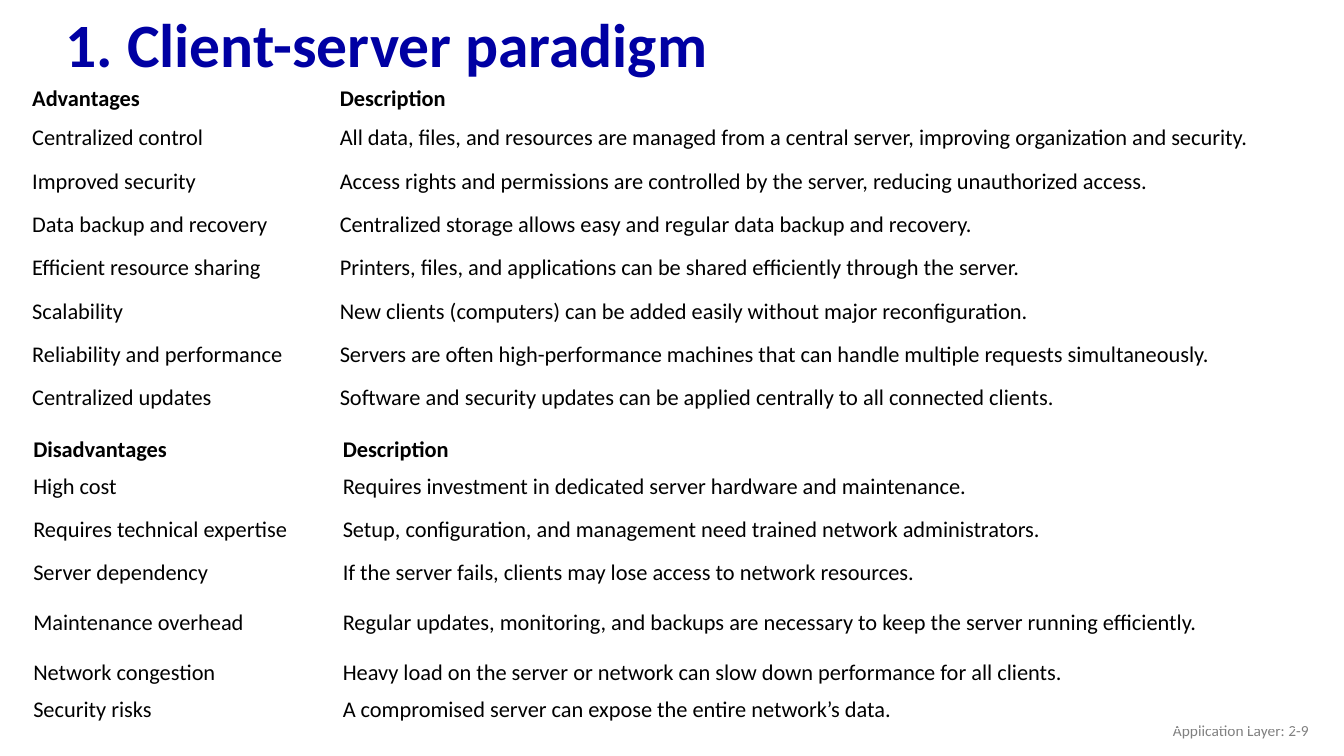
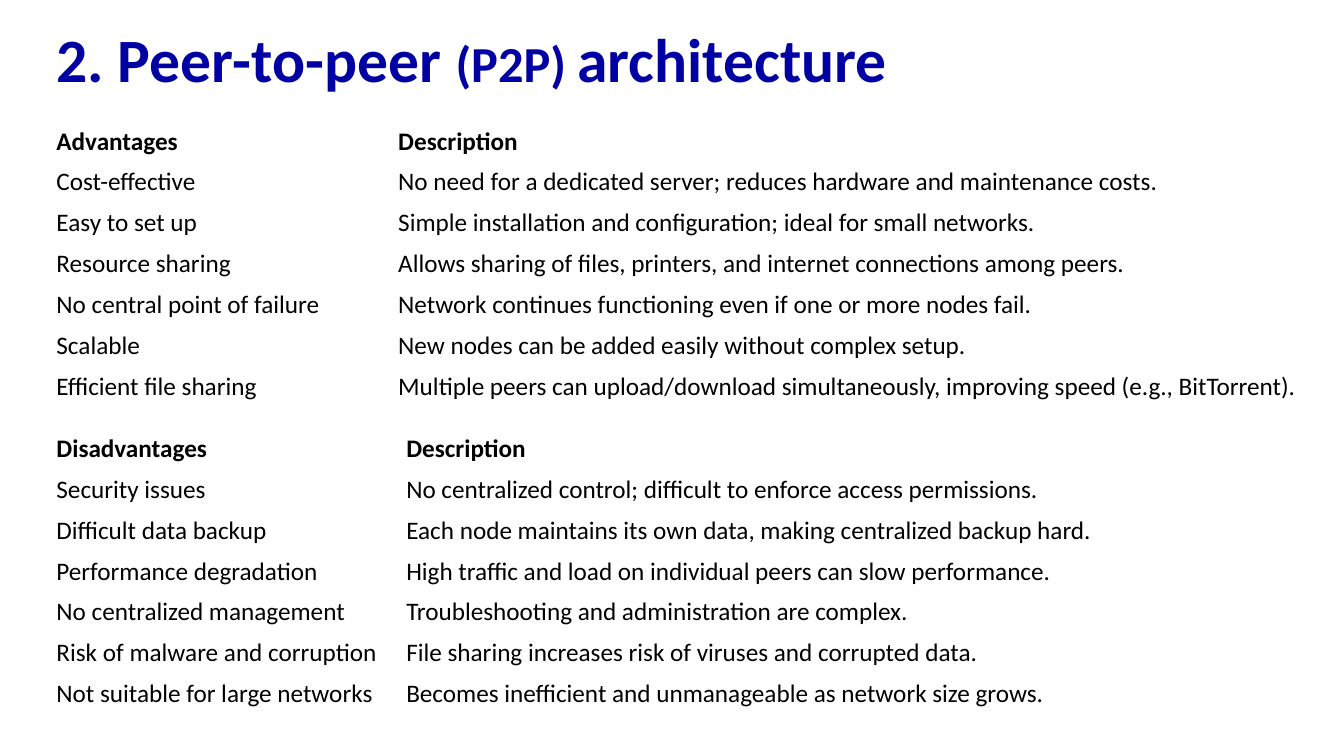
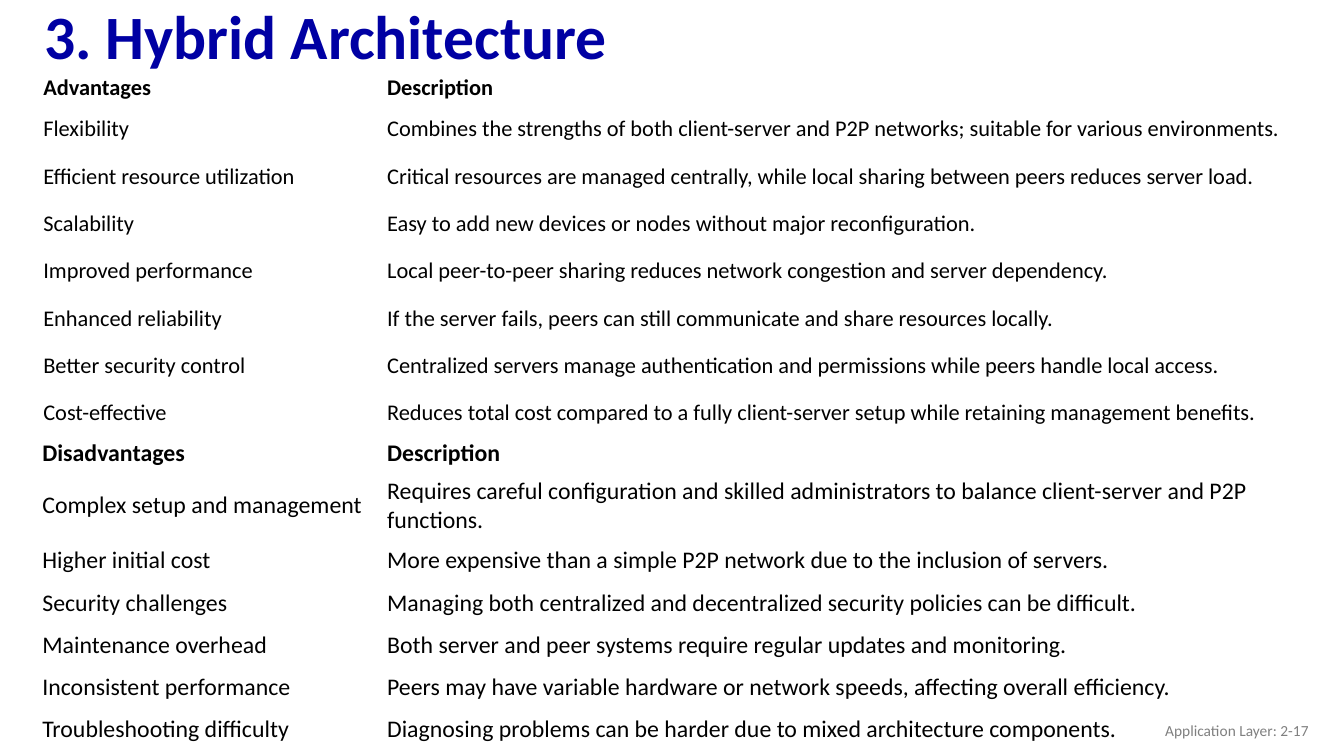
from pptx import Presentation
from pptx.dml.color import RGBColor
from pptx.enum.text import MSO_ANCHOR, MSO_AUTO_SIZE, PP_ALIGN
from pptx.util import Inches, Pt

COLORS = {"title": "0000A3", "text": "000000", "footer": "808080", "background": "FFFFFF"}
FONT = "Calibri"
TITLE_WIDTH = 11.5
TIGHT, ROOMY = (0.09, 0.04), (0.1, 0.05)

SLIDES = [
    {
        "title": [("1. Client-server paradigm", 44)],
        "title_at": (0.55, -0.02, 0.98),
        "footer": "Application Layer: 2-9",
        "tables": [
            {
                "at": (0.23, 0.81), "columns": (3.05, 9.62), "size": 16, "margins": TIGHT,
                "heights": [0.3] + [0.43] * 7,
                "rows": [
                    ("Advantages", "Description"),
                    ("Centralized control", "All data, files, and resources are managed from a central server, improving organization and security."),
                    ("Improved security", "Access rights and permissions are controlled by the server, reducing unauthorized access."),
                    ("Data backup and recovery", "Centralized storage allows easy and regular data backup and recovery."),
                    ("Efficient resource sharing", "Printers, files, and applications can be shared efficiently through the server."),
                    ("Scalability", "New clients (computers) can be added easily without major reconfiguration."),
                    ("Reliability and performance", "Servers are often high-performance machines that can handle multiple requests simultaneously."),
                    ("Centralized updates", "Software and security updates can be applied centrally to all connected clients."),
                ],
            },
            {
                "at": (0.23, 4.28), "columns": (3.07, 9.6), "size": 16, "margins": ROOMY,
                "heights": [0.36, 0.36, 0.48, 0.36, 0.63, 0.36, 0.36],
                "rows": [
                    ("Disadvantages", "Description"),
                    ("High cost", "Requires investment in dedicated server hardware and maintenance."),
                    ("Requires technical expertise", "Setup, configuration, and management need trained network administrators."),
                    ("Server dependency", "If the server fails, clients may lose access to network resources."),
                    ("Maintenance overhead", "Regular updates, monitoring, and backups are necessary to keep the server running efficiently."),
                    ("Network congestion", "Heavy load on the server or network can slow down performance for all clients."),
                    ("Security risks", "A compromised server can expose the entire network’s data."),
                ],
            },
        ],
    },
    {
        "title": [("2. Peer-to-peer ", 44), ("(P2P) ", 36), ("architecture", 44)],
        "title_at": (0.46, 0.13, 0.98),
        "footer": None,
        "tables": [
            {
                "at": (0.46, 1.2), "columns": (3.39, 9.16), "size": 18, "margins": ROOMY,
                "heights": [0.4] * 7,
                "rows": [
                    ("Advantages", "Description"),
                    ("Cost-effective", "No need for a dedicated server; reduces hardware and maintenance costs."),
                    ("Easy to set up", "Simple installation and configuration; ideal for small networks."),
                    ("Resource sharing", "Allows sharing of files, printers, and internet connections among peers."),
                    ("No central point of failure", "Network continues functioning even if one or more nodes fail."),
                    ("Scalable", "New nodes can be added easily without complex setup."),
                    ("Efficient file sharing", "Multiple peers can upload/download simultaneously, improving speed (e.g., BitTorrent)."),
                ],
            },
            {
                "at": (0.46, 4.25), "columns": (3.47, 9.08), "size": 18, "margins": ROOMY,
                "heights": [0.4] * 7,
                "rows": [
                    ("Disadvantages", "Description"),
                    ("Security issues", "No centralized control; difficult to enforce access permissions."),
                    ("Difficult data backup", "Each node maintains its own data, making centralized backup hard."),
                    ("Performance degradation", "High traffic and load on individual peers can slow performance."),
                    ("No centralized management", "Troubleshooting and administration are complex."),
                    ("Risk of malware and corruption", "File sharing increases risk of viruses and corrupted data."),
                    ("Not suitable for large networks", "Becomes inefficient and unmanageable as network size grows."),
                ],
            },
        ],
    },
    {
        "title": [("3. Hybrid Architecture", 44)],
        "title_at": (0.34, 0.01, 0.76),
        "footer": "Application Layer: 2-17",
        "tables": [
            {
                "at": (0.34, 0.7), "columns": (3.41, 9.16), "size": 16, "margins": TIGHT,
                "heights": [0.27] + [0.47] * 7,
                "rows": [
                    ("Advantages", "Description"),
                    ("Flexibility", "Combines the strengths of both client-server and P2P networks; suitable for various environments."),
                    ("Efficient resource utilization", "Critical resources are managed centrally, while local sharing between peers reduces server load."),
                    ("Scalability", "Easy to add new devices or nodes without major reconfiguration."),
                    ("Improved performance", "Local peer-to-peer sharing reduces network congestion and server dependency."),
                    ("Enhanced reliability", "If the server fails, peers can still communicate and share resources locally."),
                    ("Better security control", "Centralized servers manage authentication and permissions while peers handle local access."),
                    ("Cost-effective", "Reduces total cost compared to a fully client-server setup while retaining management benefits."),
                ],
            },
            {
                "at": (0.32, 4.3), "columns": (3.42, 9.24), "size": 17, "margins": ROOMY,
                "heights": [0.24, 0.6] + [0.42] * 5,
                "rows": [
                    ("Disadvantages", "Description"),
                    ("Complex setup and management", "Requires careful configuration and skilled administrators to balance client-server and P2P functions."),
                    ("Higher initial cost", "More expensive than a simple P2P network due to the inclusion of servers."),
                    ("Security challenges", "Managing both centralized and decentralized security policies can be difficult."),
                    ("Maintenance overhead", "Both server and peer systems require regular updates and monitoring."),
                    ("Inconsistent performance", "Peers may have variable hardware or network speeds, affecting overall efficiency."),
                    ("Troubleshooting difficulty", "Diagnosing problems can be harder due to mixed architecture components."),
                ],
            },
        ],
    },
]


def add_run(paragraph, text, size, color, bold=False):
    run = paragraph.add_run()
    run.text = text
    run.font.name = FONT
    run.font.size = Pt(size)
    run.font.bold = bold
    run.font.color.rgb = RGBColor.from_string(COLORS[color])


def set_title(slide, parts, place):
    title = slide.shapes.title
    left, top, height = place
    title.left, title.top = Inches(left), Inches(top)
    title.width, title.height = Inches(TITLE_WIDTH), Inches(height)
    frame = title.text_frame
    frame.word_wrap = True
    frame.auto_size = MSO_AUTO_SIZE.NONE
    frame.vertical_anchor = MSO_ANCHOR.MIDDLE
    heading = frame.paragraphs[0]
    heading.alignment = PP_ALIGN.LEFT
    heading.line_spacing = 0.9
    for text, size in parts:
        add_run(heading, text, size, "title", bold=True)


def add_footer(slide, text):
    footer = slide.shapes.add_textbox(Inches(10.08), Inches(7.05), Inches(3), Inches(0.4))
    frame = footer.text_frame
    frame.word_wrap = True
    frame.vertical_anchor = MSO_ANCHOR.MIDDLE
    frame.paragraphs[0].alignment = PP_ALIGN.RIGHT
    add_run(frame.paragraphs[0], text, 11, "footer")


def add_comparison(slide, comparison):
    rows, columns, heights = (comparison[key] for key in ("rows", "columns", "heights"))
    left, top = comparison["at"]
    side, edge = map(Inches, comparison["margins"])
    table = slide.shapes.add_table(
        len(rows), len(columns), Inches(left), Inches(top),
        Inches(sum(columns)), Inches(sum(heights))).table
    table.first_row = table.horz_banding = False
    for column, width in zip(table.columns, columns):
        column.width = Inches(width)
    for index, (row, height, texts) in enumerate(zip(table.rows, heights, rows)):
        row.height = Inches(height)
        for cell, text in zip(row.cells, texts):
            cell.fill.background()
            cell.vertical_anchor = MSO_ANCHOR.MIDDLE
            cell.margin_left = cell.margin_right = side
            cell.margin_top = cell.margin_bottom = edge
            add_run(cell.text_frame.paragraphs[0], text, comparison["size"], "text", bold=index == 0)


def main():
    deck = Presentation()
    deck.slide_width, deck.slide_height = Inches(13.33), Inches(7.5)
    background = deck.slide_master.background.fill
    background.solid()
    background.fore_color.rgb = RGBColor.from_string(COLORS["background"])
    title_only = deck.slide_layouts[5]
    for content in SLIDES:
        slide = deck.slides.add_slide(title_only)
        set_title(slide, content["title"], content["title_at"])
        if content["footer"]:
            add_footer(slide, content["footer"])
        for comparison in content["tables"]:
            add_comparison(slide, comparison)
    deck.save("out.pptx")


if __name__ == "__main__":
    main()
